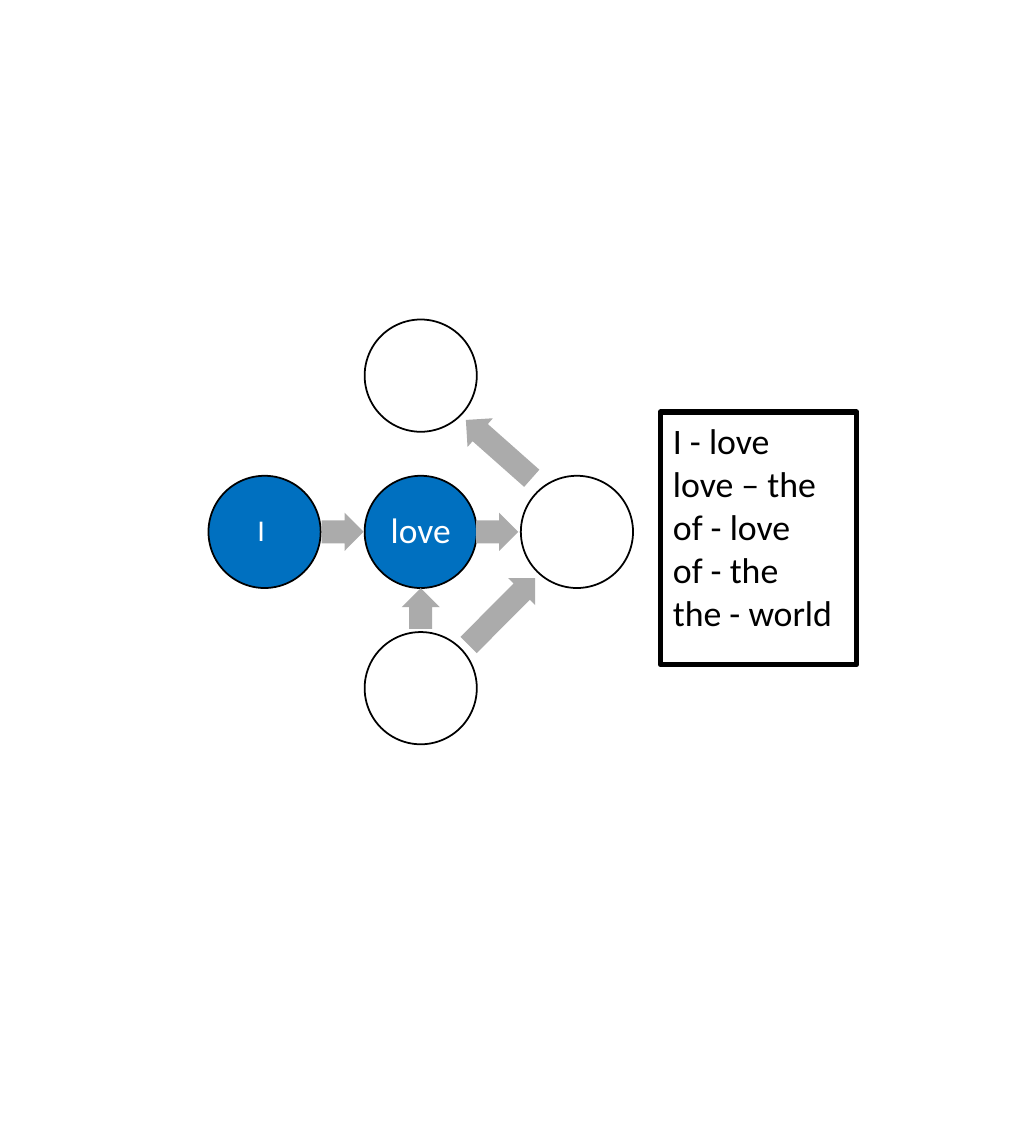
"""Draw a word graph with its list of edges."""
from dataclasses import dataclass

from pptx import Presentation
from pptx.dml.color import RGBColor
from pptx.enum.shapes import MSO_SHAPE
from pptx.enum.text import MSO_ANCHOR, PP_ALIGN
from pptx.util import Inches, Pt

OVAL, ARROW, RECTANGLE = MSO_SHAPE.OVAL, MSO_SHAPE.RIGHT_ARROW, MSO_SHAPE.RECTANGLE
MIDDLE, TOP = MSO_ANCHOR.MIDDLE, MSO_ANCHOR.TOP
CENTER, LEFT = PP_ALIGN.CENTER, PP_ALIGN.LEFT

FONT = "Calibri"
BLUE, WHITE, BLACK, GRAY = "0070C0", "FFFFFF", "000000", "ABABAB"
HUB_X, HUB_Y, PITCH = 3.3, 4.17, 1.225
DIAMETER = 0.88
EDGES = "I - love\nlove – the\nof - love\nof - the\nthe - world"


@dataclass
class Node:
    column: int
    row: int
    fill: str = WHITE
    word: str = ""
    size: float = 20


@dataclass
class Arrow:
    column: float
    row: float
    length: float
    turn: float = 0


NODES = [
    Node(0, 0, BLUE, "love"),
    Node(0, -1),
    Node(1, 0),
    Node(0, 1),
    Node(-1, 0, BLUE, "I ", 17),
]
ARROWS = [
    Arrow(0.5, -0.53, 0.69, 221.5),
    Arrow(0.49, 0, 0.33),
    Arrow(0, 0.49, 0.32, 270),
    Arrow(-0.5, 0, 0.33),
    Arrow(0.52, 0.51, 0.74, 314.9),
]


def color(value: str) -> RGBColor:
    return RGBColor.from_string(value)


def add_box(page, kind, center_x: float, center_y: float, width: float,
            height: float, fill: str, line_width: float = 0):
    box = page.shapes.add_shape(
        kind, Inches(center_x - width / 2), Inches(center_y - height / 2),
        Inches(width), Inches(height))
    box.shadow.inherit = False
    box.fill.solid()
    box.fill.fore_color.rgb = color(fill)
    if line_width:
        box.line.color.rgb = color(BLACK)
        box.line.width = Pt(line_width)
    else:
        box.line.fill.background()
    return box


def write(box, text: str, size: float, ink: str, align, anchor,
          spacing: float = 1) -> None:
    frame = box.text_frame
    frame.text = text
    frame.word_wrap = True
    frame.vertical_anchor = anchor
    for para in frame.paragraphs:
        para.alignment = align
        para.line_spacing = spacing
        for span in para.runs:
            span.font.name = FONT
            span.font.size = Pt(size)
            span.font.color.rgb = color(ink)


def draw_node(page, node: Node) -> None:
    circle = add_box(page, OVAL, HUB_X + node.column * PITCH,
                     HUB_Y + node.row * PITCH, DIAMETER, DIAMETER, node.fill, 1)
    if node.word:
        frame = circle.text_frame
        frame.margin_left = frame.margin_right = Inches(0.03)
        frame.margin_top = frame.margin_bottom = Inches(0.03)
        write(circle, node.word, node.size, WHITE, CENTER, MIDDLE, 0.9)


def draw_arrow(page, arrow: Arrow) -> None:
    shape = add_box(page, ARROW, HUB_X + arrow.column * PITCH,
                    HUB_Y + arrow.row * PITCH, arrow.length, 0.3, GRAY)
    shape.adjustments[0] = 0.6
    shape.adjustments[1] = 0.5
    shape.rotation = arrow.turn


def main() -> None:
    deck = Presentation()
    deck.slide_width, deck.slide_height = Inches(8), Inches(9)
    page = deck.slides.add_slide(deck.slide_layouts[6])
    for node in NODES:
        draw_node(page, node)
    for arrow in ARROWS:
        draw_arrow(page, arrow)
    edge_list = add_box(page, RECTANGLE, 5.95, 4.22, 1.54, 1.98, WHITE, 3)
    write(edge_list, EDGES, 20.2, BLACK, LEFT, TOP)
    deck.save("out.pptx")


if __name__ == "__main__":
    main()
